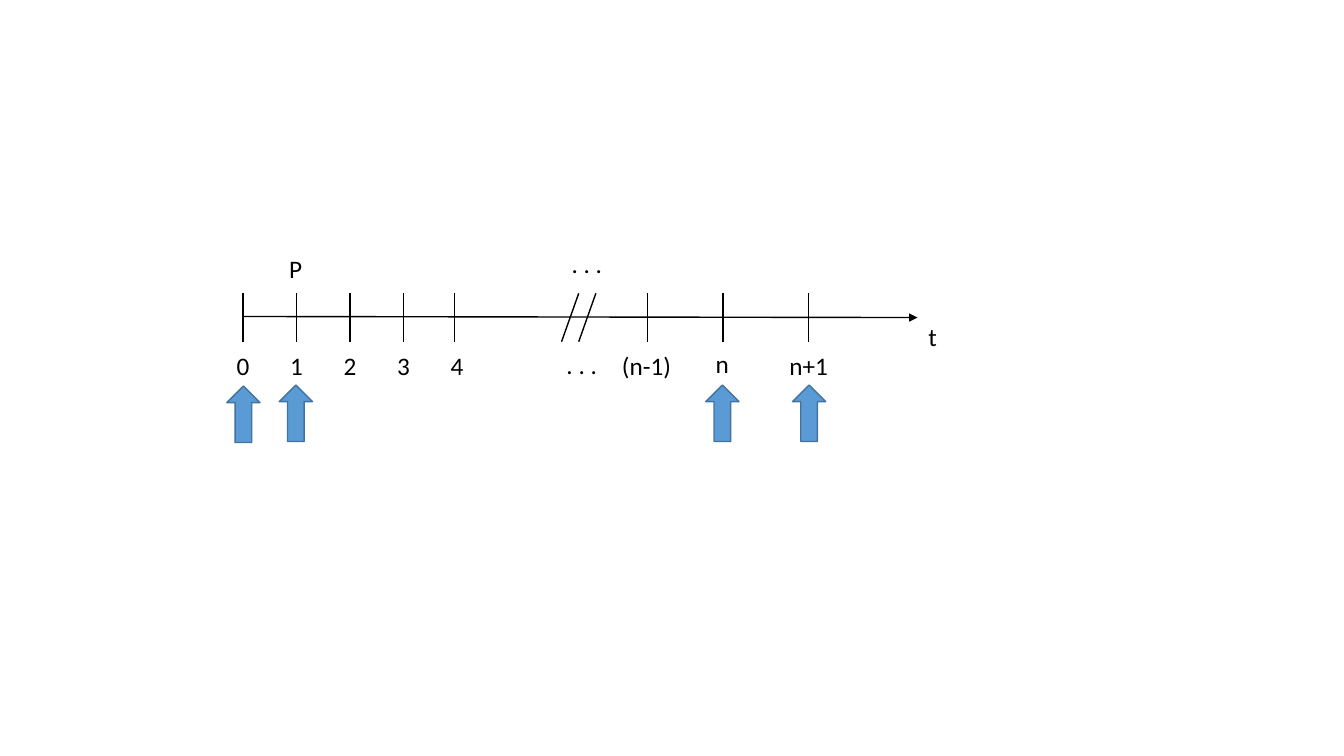
from lxml.etree import SubElement
from pptx import Presentation
from pptx.dml.color import RGBColor
from pptx.enum.shapes import MSO_CONNECTOR, MSO_SHAPE
from pptx.enum.text import MSO_AUTO_SIZE
from pptx.oxml.ns import qn
from pptx.util import Inches, Pt

COLORS = {"ink": "000000", "arrow": "5B9BD5", "arrow_edge": "43739E"}

presentation = Presentation()
presentation.slide_width = Inches(13.33)
presentation.slide_height = Inches(7.5)
slide = presentation.slides.add_slide(presentation.slide_layouts[6])


def add_line(x1, y1, x2, y2):
    connector = slide.shapes.add_connector(
        MSO_CONNECTOR.STRAIGHT, Inches(x1), Inches(y1), Inches(x2), Inches(y2))
    connector.line.color.rgb = RGBColor.from_string(COLORS["ink"])
    connector.line.width = Pt(1)
    SubElement(connector._element.spPr, qn("a:effectLst"))
    return connector


def add_label(text, left, top, width):
    label = slide.shapes.add_textbox(
        Inches(left), Inches(top), Inches(width), Inches(0.4))
    text_frame = label.text_frame
    text_frame.word_wrap = False
    text_frame.auto_size = MSO_AUTO_SIZE.SHAPE_TO_FIT_TEXT
    text_frame.text = text
    font = text_frame.paragraphs[0].runs[0].font
    font.name = "Calibri"
    font.size = Pt(18)
    font.color.rgb = RGBColor.from_string(COLORS["ink"])


# Time axis with its arrowhead
axis = add_line(2.41, 3.14, 9.1, 3.15)
SubElement(axis.line._get_or_add_ln(), qn("a:tailEnd"), type="triangle")

# Period ticks, then the slanted break marks
for tick_x in (2.41, 2.94, 3.47, 4, 4.51, 6.42, 7.17, 8.02):
    add_line(tick_x, 2.91, tick_x, 3.39)
for break_x in (5.74, 5.91):
    add_line(break_x, 2.91, break_x - 0.17, 3.39)

# Period labels
for period in range(5):
    add_label(str(period), 2.25 + 0.53 * period, 3.43, 0.33)
for text, left, top, width in (
    (". . .", 5.52, 3.42, 0.51),
    ("(n-1)", 6.07, 3.43, 0.69),
    ("n", 7, 3.41, 0.34),
    ("n+1", 7.73, 3.43, 0.59),
    ("t", 9.11, 3.14, 0.29),
    (". . .", 5.57, 2.41, 0.51),
    ("P", 2.77, 2.46, 0.33),
):
    add_label(text, left, top, width)

# Arrows pointing at the periods 0, 1, n and n+1
for left, top in ((2.25, 3.83), (2.77, 3.82), (7, 3.82), (7.86, 3.82)):
    arrow = slide.shapes.add_shape(
        MSO_SHAPE.UP_ARROW, Inches(left), Inches(top), Inches(0.33), Inches(0.56))
    arrow.shadow.inherit = False
    arrow.fill.solid()
    arrow.fill.fore_color.rgb = RGBColor.from_string(COLORS["arrow"])
    arrow.line.color.rgb = RGBColor.from_string(COLORS["arrow_edge"])
    arrow.line.width = Pt(1)

presentation.save("out.pptx")
